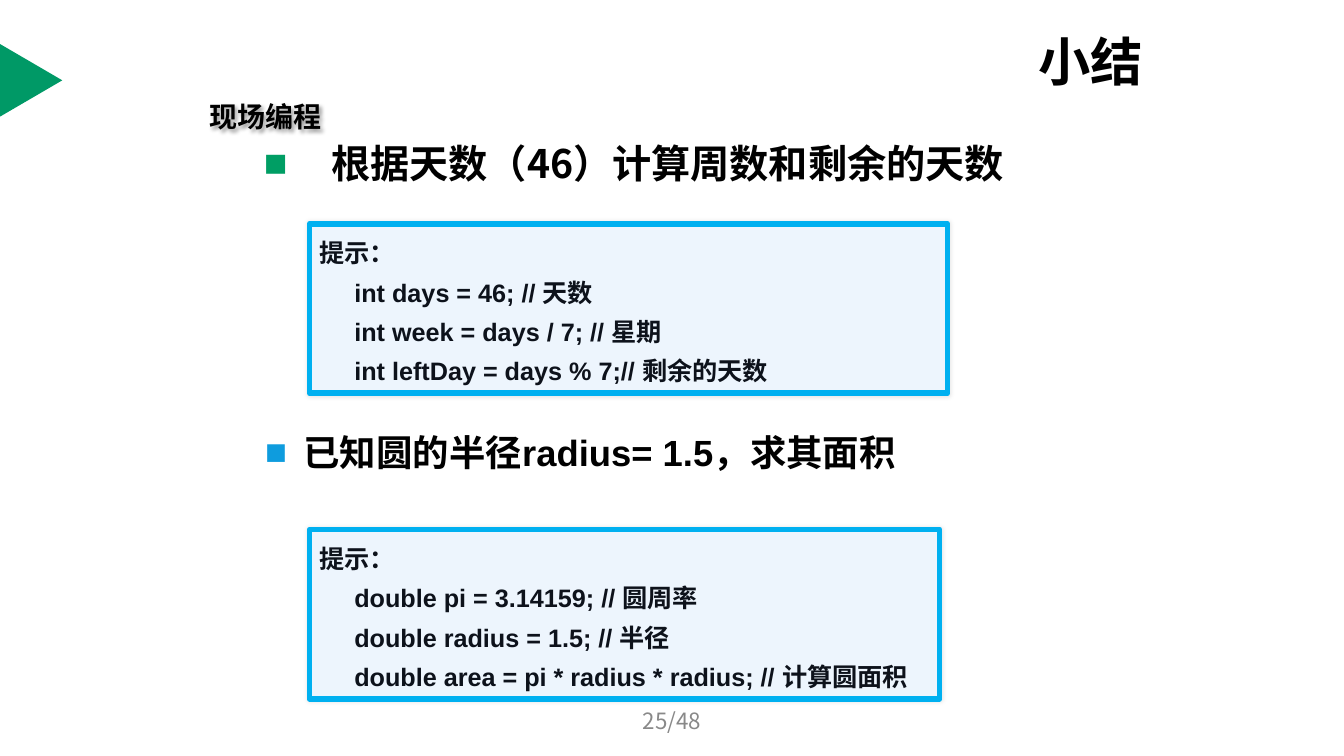
from lxml import etree
from pptx import Presentation
from pptx.dml.color import RGBColor
from pptx.enum import shapes, text
from pptx.oxml import ns
from pptx.util import Cm, Pt

SANS, LATIN = "Noto Sans CJK SC", "Arial"
BLACK, INK, GREY = "000000", "0D121B", "898989"
GREEN, BOX_FILL, BOX_LINE = "009966", "EDF5FD", "00B0F0"
CODE_INDENT = "     "

# Boxes are left, top, width, height in centimetres
TITLE = ("小结", (25.91, 0.79, 3.23, 1.45))
LABEL = ("现场编程", (5.03, 2.39, 3.58, 1.12))
PAGE = ("25/48", (11.58, 17.65, 10.72, 1.02))
TRIANGLE = (-0.13, 1.24, 1.83, 1.57)

# Wording, box, font, size, bullet colour, hanging indent in centimetres
QUESTIONS = [
    ("根据天数（46）计算周数和剩余的天数", (6.4, 3.38, 21.23, 14.27), SANS, 28, "009E64", 1.7),
    ("已知圆的半径radius= 1.5，求其面积", (6.43, 10.72, 19.2, 3.66), LATIN, 26, "0E9CDE", 0.97),
]
HINTS = [
    ((7.8, 5.64, 16.08, 4.27), [
        "int days = 46; // 天数",
        "int week = days / 7; // 星期",
        "int leftDay = days % 7;// 剩余的天数",
    ]),
    ((7.8, 13.34, 15.88, 4.27), [
        "double pi = 3.14159; // 圆周率",
        "double radius = 1.5; // 半径",
        "double area = pi * radius * radius; // 计算圆面积",
    ]),
]


def rgb(value):
    return RGBColor.from_string(value)


def add_element(parent, tag, **attributes):
    return etree.SubElement(parent, ns.qn(tag), attributes)


def set_font(paragraph, name, size, color, bold=True):
    font = paragraph.font
    font.name, font.size, font.bold = name, Pt(size), bold
    font.color.rgb = rgb(color)
    properties = paragraph._p.pPr.find(ns.qn("a:defRPr"))
    add_element(properties, "a:ea", typeface=name)


def add_shadow(shape, opacity, blur, distance=0):
    """Give the shape a soft black shadow; opacity in percent, lengths in points."""
    shape.shadow.inherit = False
    effects = shape._element.spPr.find(ns.qn("a:effectLst"))
    shadow = add_element(effects, "a:outerShdw", blurRad=str(Pt(blur)),
                         dist=str(Pt(distance)), dir="2700000", algn="ctr", rotWithShape="0")
    color = add_element(shadow, "a:srgbClr", val=BLACK)
    add_element(color, "a:alpha", val=str(opacity * 1000))


def add_text(slide, wording, box, anchor=text.MSO_ANCHOR.TOP, wrap=True):
    shape = slide.shapes.add_textbox(*map(Cm, box))
    shape.text_frame.word_wrap = wrap
    shape.text_frame.vertical_anchor = anchor
    paragraph = shape.text_frame.paragraphs[0]
    paragraph.text = wording
    return shape, paragraph


def add_question(slide, wording, box, font, size, bullet_color, indent):
    _, paragraph = add_text(slide, wording, box)
    properties = paragraph._p.get_or_add_pPr()
    properties.set("marL", str(Cm(indent)))
    properties.set("indent", str(-Cm(indent)))
    add_element(add_element(properties, "a:buClr"), "a:srgbClr", val=bullet_color)
    add_element(properties, "a:buFont", typeface=LATIN)
    add_element(properties, "a:buChar", char="■")
    set_font(paragraph, font, size, BLACK)


def add_hint(slide, box, code):
    shape = slide.shapes.add_shape(shapes.MSO_SHAPE.ROUNDED_RECTANGLE, *map(Cm, box))
    shape.adjustments[0] = 0
    shape.fill.solid()
    shape.fill.fore_color.rgb = rgb(BOX_FILL)
    shape.line.color.rgb = rgb(BOX_LINE)
    shape.line.width = Pt(4)
    add_shadow(shape, 10, 3)
    frame = shape.text_frame
    frame.word_wrap = True
    frame.vertical_anchor = text.MSO_ANCHOR.TOP
    for number, line in enumerate(code):
        paragraph = frame.add_paragraph() if number else frame.paragraphs[0]
        paragraph.text = ("" if number else "提示：\n") + CODE_INDENT + line
        paragraph.alignment = text.PP_ALIGN.LEFT
        paragraph.line_spacing = 1.3
        set_font(paragraph, LATIN, 18, INK)


def main():
    presentation = Presentation()
    presentation.slide_width, presentation.slide_height = Cm(33.87), Cm(19.05)
    slide = presentation.slides.add_slide(presentation.slide_layouts[6])

    triangle = slide.shapes.add_shape(shapes.MSO_SHAPE.ISOSCELES_TRIANGLE, *map(Cm, TRIANGLE))
    triangle.rotation = 90
    triangle.shadow.inherit = False
    triangle.fill.solid()
    triangle.fill.fore_color.rgb = rgb(GREEN)
    triangle.line.fill.background()

    _, title = add_text(slide, *TITLE, anchor=text.MSO_ANCHOR.MIDDLE, wrap=False)
    set_font(title, SANS, 37.4, BLACK)

    for question in QUESTIONS:
        add_question(slide, *question)
    for hint in HINTS:
        add_hint(slide, *hint)

    label_shape, label = add_text(slide, *LABEL, wrap=False)
    add_shadow(label_shape, 40, 3, 2)
    set_font(label, SANS, 20, BLACK)

    _, page = add_text(slide, *PAGE, anchor=text.MSO_ANCHOR.MIDDLE)
    page.alignment = text.PP_ALIGN.CENTER
    set_font(page, SANS, 16, GREY, bold=False)

    presentation.save("out.pptx")


if __name__ == "__main__":
    main()
